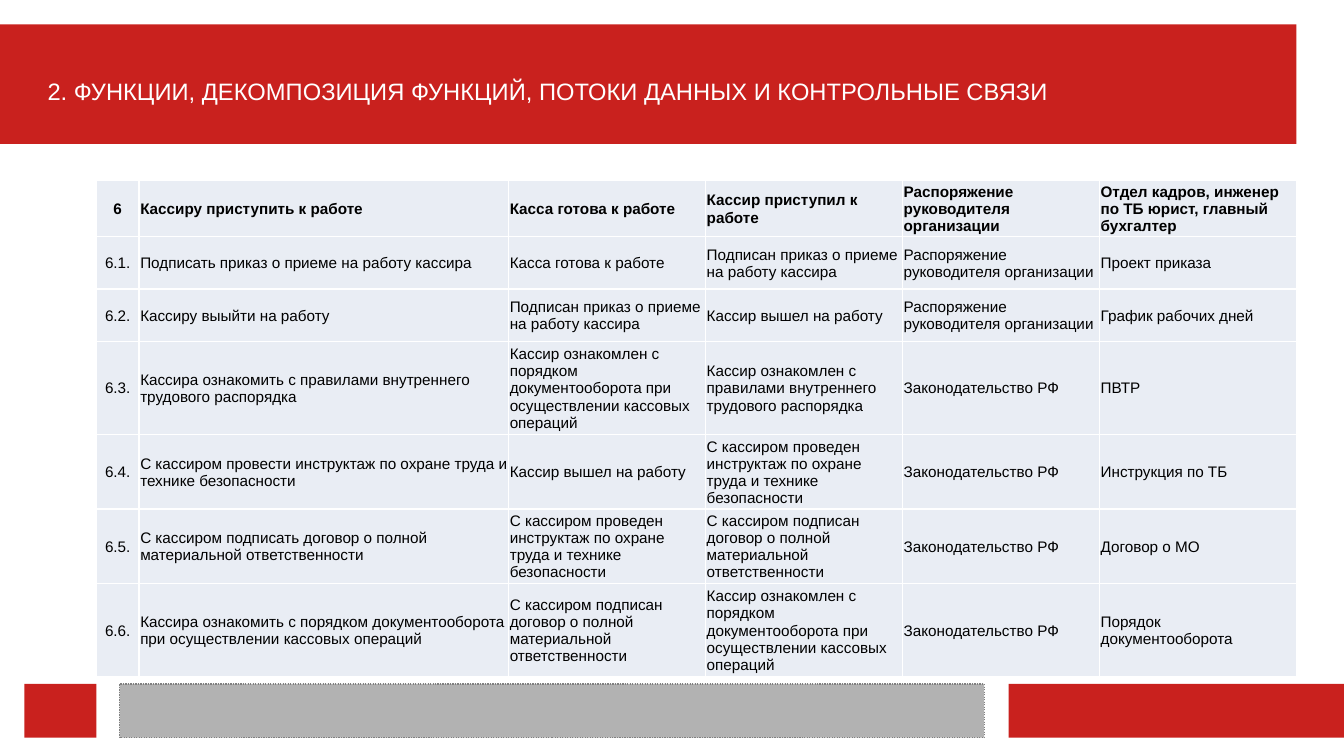
from lxml import etree
from pptx import Presentation
from pptx.dml.color import RGBColor
from pptx.enum import dml, shapes, text
from pptx.oxml import ns
from pptx.util import Inches, Pt

COLORS = {
    "red": "C9211E", "grey": "B2B2B2", "grey_edge": "808080",
    "cell": "E9EDF4", "white": "FFFFFF", "black": "000000",
}
FONT = "Arial"

TITLE = "2. ФУНКЦИИ, ДЕКОМПОЗИЦИЯ ФУНКЦИЙ, ПОТОКИ ДАННЫХ И КОНТРОЛЬНЫЕ СВЯЗИ"

READY = "Касса готова к работе"
ORDER_SIGNED = "Подписан приказ о приеме на работу кассира"
AT_WORK = "Кассир вышел на работу"
BRIEFED = "С кассиром проведен инструктаж по охране труда и технике безопасности"
CONTRACT_SIGNED = "С кассиром подписан договор о полной материальной ответственности"
KNOWS_DOCUMENTS = ("Кассир ознакомлен с порядком документооборота "
                   "при осуществлении кассовых операций")
DIRECTIVE = "Распоряжение руководителя организации"
LAW = "Законодательство РФ"

FUNCTIONS = [
    ("6", "Кассиру приступить к работе", READY, "Кассир приступил к работе",
     DIRECTIVE, "Отдел кадров, инженер по ТБ юрист, главный бухгалтер"),
    ("6.1.", "Подписать приказ о приеме на работу кассира", READY,
     ORDER_SIGNED, DIRECTIVE, "Проект приказа"),
    ("6.2.", "Кассиру выыйти на работу", ORDER_SIGNED, AT_WORK,
     DIRECTIVE, "График рабочих дней"),
    ("6.3.", "Кассира ознакомить с правилами внутреннего трудового распорядка",
     KNOWS_DOCUMENTS,
     "Кассир ознакомлен с правилами внутреннего трудового распорядка",
     LAW, "ПВТР"),
    ("6.4.", "С кассиром провести инструктаж по охране труда и технике безопасности",
     AT_WORK, BRIEFED, LAW, "Инструкция по ТБ"),
    ("6.5.", "С кассиром подписать договор о полной материальной ответственности",
     BRIEFED, CONTRACT_SIGNED, LAW, "Договор о МО"),
    ("6.6.", "Кассира ознакомить с порядком документооборота при осуществлении "
     "кассовых операций",
     CONTRACT_SIGNED, KNOWS_DOCUMENTS, LAW, "Порядок документооборота"),
]
ROW_HEIGHTS = [0.43, 0.43, 0.43, 0.71, 0.57, 0.57, 0.71]
NUMBER_WIDTH, FUNCTION_WIDTH = 0.35, 3.03


def rgb(name):
    return RGBColor.from_string(COLORS[name])


def apply(target, **formats):
    for attribute, value in formats.items():
        setattr(target, attribute, value)


def write(paragraph, words, size, color, bold=False):
    run = paragraph.add_run()
    run.text = words
    apply(run.font, name=FONT, size=Pt(size), bold=bold)
    run.font.color.rgb = rgb(color)


def add_bar(slide, box, color, edge=None):
    bar = slide.shapes.add_shape(shapes.MSO_SHAPE.RECTANGLE, *map(Inches, box))
    bar.shadow.inherit = False
    bar.fill.solid()
    bar.fill.fore_color.rgb = rgb(color)
    if edge:
        bar.line.color.rgb = rgb(edge)
        apply(bar.line, width=Pt(0), dash_style=dml.MSO_LINE.ROUND_DOT)
    else:
        bar.line.fill.background()


def add_header(slide, box):
    left, top, width, height = box
    add_bar(slide, box, "red")
    title = slide.shapes.add_textbox(
        Inches(left + 0.39), Inches(top + 0.1),
        Inches(width - 0.39), Inches(height - 0.19))
    apply(title.text_frame, word_wrap=True,
          vertical_anchor=text.MSO_ANCHOR.BOTTOM,
          margin_left=0, margin_top=0, margin_right=0,
          margin_bottom=Inches(0.23))
    write(title.text_frame.paragraphs[0], TITLE, 14, "white")


def add_footer(slide, box):
    left, top, width, height = box
    add_bar(slide, (left + 8.07, top, width - 8.07, height), "red")
    add_bar(slide, (left + 0.78, top, 7.09, height), "grey", "grey_edge")
    add_bar(slide, (left, top, 0.59, height), "red")


def add_borders(cell, color, points):
    properties = cell._tc.get_or_add_tcPr()
    for side in ("a:lnL", "a:lnR", "a:lnT", "a:lnB"):
        line = etree.SubElement(properties, ns.qn(side), w=str(Pt(points)))
        fill = etree.SubElement(line, ns.qn("a:solidFill"))
        etree.SubElement(fill, ns.qn("a:srgbClr"), val=COLORS[color])


def add_function_table(slide, box):
    table = slide.shapes.add_table(
        len(FUNCTIONS), len(FUNCTIONS[0]), *map(Inches, box)).table
    apply(table, first_row=False, horz_banding=False)
    link_width = (box[2] - NUMBER_WIDTH - FUNCTION_WIDTH) / 4
    widths = [NUMBER_WIDTH, FUNCTION_WIDTH] + [link_width] * 4
    for column, width in zip(table.columns, widths):
        column.width = Inches(width)
    for r, (height, function) in enumerate(zip(ROW_HEIGHTS, FUNCTIONS)):
        table.rows[r].height = Inches(height)
        for c, words in enumerate(function):
            cell = table.cell(r, c)
            apply(cell, vertical_anchor=text.MSO_ANCHOR.MIDDLE,
                  margin_left=Inches(0.01), margin_top=Inches(0.01),
                  margin_right=Inches(0.01), margin_bottom=0)
            add_borders(cell, "white", 1)
            cell.fill.solid()
            cell.fill.fore_color.rgb = rgb("cell")
            paragraph = cell.text_frame.paragraphs[0]
            paragraph.alignment = (
                text.PP_ALIGN.LEFT if c else text.PP_ALIGN.CENTER)
            write(paragraph, words, 9, "black", bold=r == 0)


def main():
    deck = Presentation()
    apply(deck, slide_width=Inches(11.02), slide_height=Inches(6.2))
    slide = deck.slides.add_slide(deck.slide_layouts[6])
    add_header(slide, (0, 0.2, 10.63, 0.98))
    add_footer(slide, (0.2, 5.61, 10.82, 0.44))
    add_function_table(slide, (0.79, 1.48, 9.84, sum(ROW_HEIGHTS)))
    deck.save("out.pptx")


if __name__ == "__main__":
    main()
